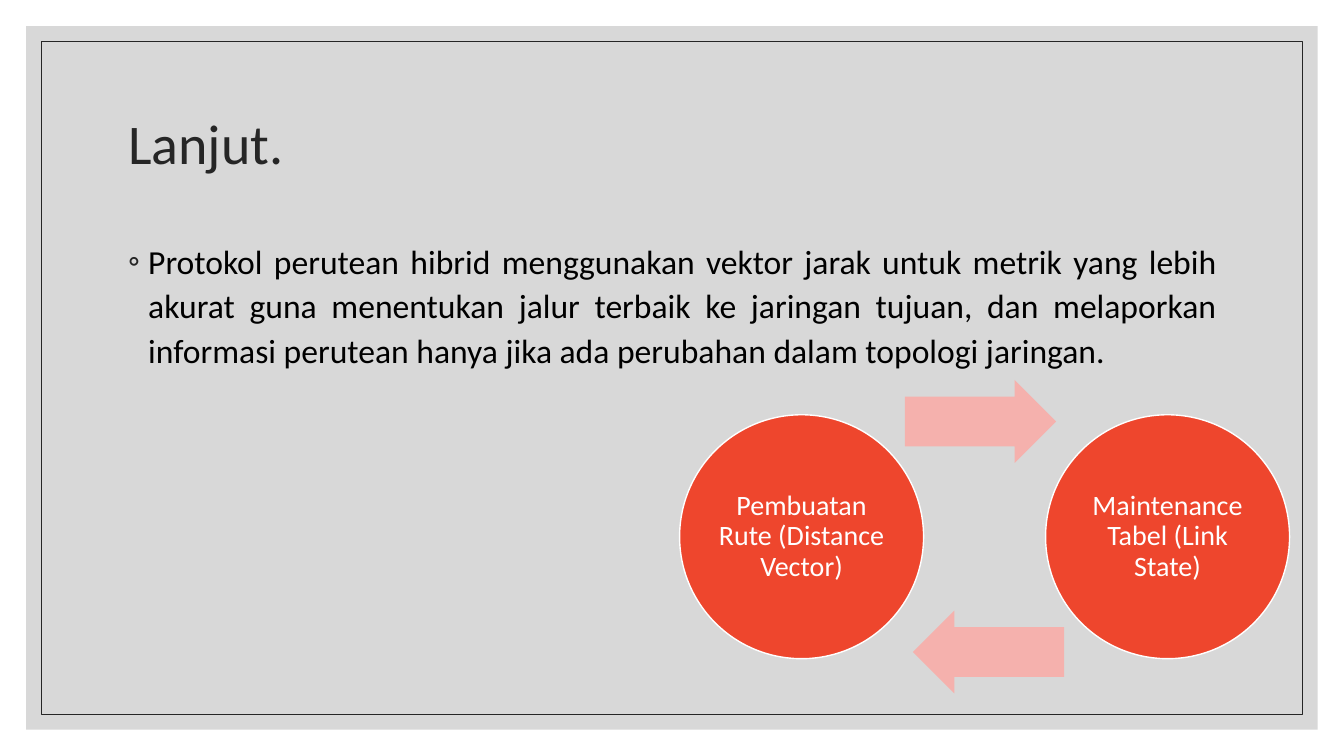
from lxml import etree
from pptx import Presentation, util as u
from pptx.dml.color import RGBColor
from pptx.enum import shapes, text
from pptx.oxml.ns import qn

WIDTH, HEIGHT = 13.33, 7.5
COLORS = {"panel": "BFBFBF", "ink": "262626", "body": "000000",
          "circle": "EE462D", "arrow": "F5B1AD", "white": "FFFFFF"}
STAGES = ["Pembuatan Rute (Distance Vector)", "Maintenance Tabel (Link State)"]
EXPLANATION = ("Protokol perutean hibrid menggunakan vektor jarak untuk metrik yang lebih "
               "akurat guna menentukan jalur terbaik ke jaringan tujuan, dan melaporkan "
               "informasi perutean hanya jika ada perubahan dalam topologi jaringan.")


def rgb(name):
    return RGBColor.from_string(COLORS[name])


def place(shape, left, top, width, height):
    shape.left, shape.top = u.Inches(left), u.Inches(top)
    shape.width, shape.height = u.Inches(width), u.Inches(height)


def write(shape, words, size, color, align=text.PP_ALIGN.LEFT,
          anchor=text.MSO_ANCHOR.MIDDLE, spacing=0.9, bullet=None, inset=None):
    frame = shape.text_frame
    frame.word_wrap = True
    frame.auto_size = text.MSO_AUTO_SIZE.NONE
    frame.vertical_anchor = anchor
    if inset is not None:
        frame.margin_left = frame.margin_right = u.Inches(inset)
        frame.margin_top = frame.margin_bottom = u.Inches(inset)
    paragraph = frame.paragraphs[0]
    if bullet:
        props = paragraph._p.get_or_add_pPr()
        props.set("marL", str(u.Inches(0.2)))
        props.set("indent", str(-u.Inches(0.2)))
        tint = etree.SubElement(props, qn("a:buClr"))
        etree.SubElement(tint, qn("a:srgbClr"), val=COLORS["ink"])
        etree.SubElement(props, qn("a:buFont"), typeface="Calibri")
        etree.SubElement(props, qn("a:buChar"), char=bullet)
    paragraph.alignment = align
    paragraph.line_spacing = spacing
    paragraph.space_before = u.Pt(0)
    run = paragraph.add_run()
    run.text = words
    run.font.name, run.font.size = "Calibri", u.Pt(size)
    run.font.color.rgb = rgb(color)


def draw(slide, kind, box, fill=None, line=None, line_width=1):
    shape = slide.shapes.add_shape(kind, *(u.Inches(n) for n in box))
    shape.shadow.inherit = False
    if fill:
        shape.fill.solid()
        shape.fill.fore_color.rgb = rgb(fill)
    else:
        shape.fill.background()
    if line:
        shape.line.color.rgb = rgb(line)
        shape.line.width = u.Pt(line_width)
    else:
        shape.line.fill.background()
    return shape


def add_backdrop(slide):
    """Translucent panel and thin frame, behind the placeholders."""
    def inset_box(gap):
        return gap, gap, WIDTH - 2 * gap, HEIGHT - 2 * gap

    rectangle = shapes.MSO_SHAPE.RECTANGLE
    panel = draw(slide, rectangle, inset_box(0.26), fill="panel")
    tint = panel._element.spPr.find(".//" + qn("a:srgbClr"))
    etree.SubElement(tint, qn("a:alpha"), val="60000")
    frame = draw(slide, rectangle, inset_box(0.41), line="ink", line_width=0.5)
    for depth, shape in enumerate([panel, frame], start=2):
        slide.shapes._spTree.insert(depth, shape._element)


def add_heading_and_body(slide, left, top, width):
    title, body = slide.shapes.title, slide.placeholders[1]
    place(title, left, top, width, 1.5)
    write(title, "Lanjut.", 40, "ink")
    place(body, left, top + 1.6, width, 1.97)
    write(body, EXPLANATION, 24, "body", align=text.PP_ALIGN.JUSTIFY,
          anchor=text.MSO_ANCHOR.TOP, spacing=1.1, bullet="◦")


def add_cycle(slide, left, top, width, height):
    """Two circles joined by an arrow above and a returning arrow below."""
    diameter = 0.4 * width
    arrow_width, arrow_height = 0.62 * diameter, 0.34 * diameter
    circle_top = top + (height - diameter) / 2
    center = left + width / 2
    arrows = [(center - 0.04 - arrow_width / 2, top, 0),
              (center + 0.04 - arrow_width / 2, top + height - arrow_height, 180)]
    circle_lefts = [left, left + width - diameter]
    for stage, circle_left, (arrow_left, arrow_top, turn) in zip(STAGES, circle_lefts, arrows):
        circle = draw(slide, shapes.MSO_SHAPE.OVAL,
                      (circle_left, circle_top, diameter, diameter), "circle", "white")
        write(circle, stage, 20, "white", align=text.PP_ALIGN.CENTER, inset=0.03)
        arrow = draw(slide, shapes.MSO_SHAPE.RIGHT_ARROW,
                     (arrow_left, arrow_top, arrow_width, arrow_height), "arrow")
        arrow.adjustments[0] = 0.6
        arrow.rotation = turn


def main():
    deck = Presentation()
    deck.slide_width, deck.slide_height = u.Inches(WIDTH), u.Inches(HEIGHT)
    slide = deck.slides.add_slide(deck.slide_layouts[1])
    add_backdrop(slide)
    add_heading_and_body(slide, 1.17, 0.7, 11)
    add_cycle(slide, 6.74, 3.77, 6.05, 3.11)
    deck.save("out.pptx")


if __name__ == "__main__":
    main()
